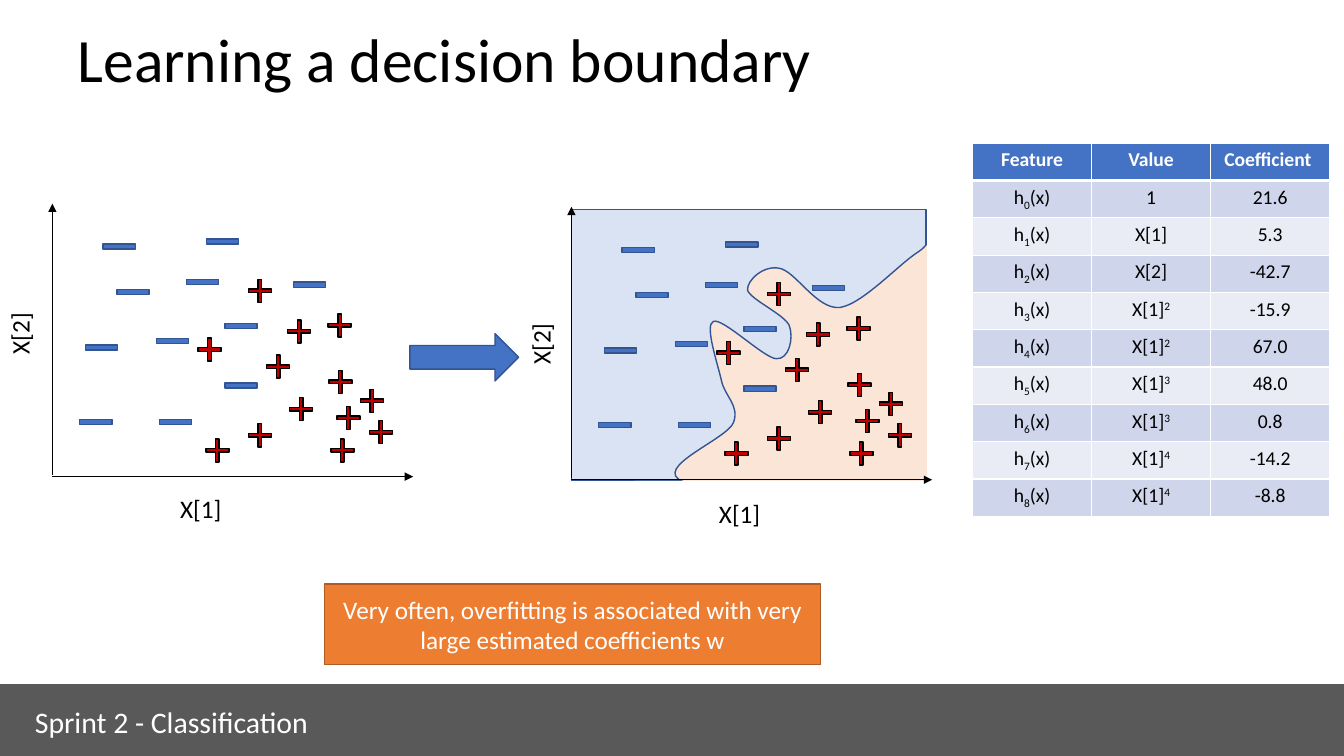
from dataclasses import dataclass

from lxml import etree
from pptx import Presentation
from pptx.dml.color import RGBColor
from pptx.enum.shapes import MSO_CONNECTOR, MSO_SHAPE
from pptx.enum.text import MSO_ANCHOR, MSO_AUTO_SIZE, PP_ALIGN
from pptx.oxml.ns import qn
from pptx.util import Cm, Pt

RECT, PLUS, ARROW = MSO_SHAPE.RECTANGLE, MSO_SHAPE.CROSS, MSO_SHAPE.RIGHT_ARROW
STRAIGHT = MSO_CONNECTOR.STRAIGHT
LEFT, CENTER = PP_ALIGN.LEFT, PP_ALIGN.CENTER
TOP, MIDDLE = MSO_ANCHOR.TOP, MSO_ANCHOR.MIDDLE
NO_FIT, GROW = MSO_AUTO_SIZE.NONE, MSO_AUTO_SIZE.SHAPE_TO_FIT_TEXT


@dataclass(frozen=True)
class Theme:
    """Colours, font and type sizes of the slide."""
    font: str = "Calibri"
    black: str = "000000"
    white: str = "FFFFFF"
    blue: str = "4472C4"
    blue_line: str = "325491"
    blue_area: str = "DAE3F3"
    red: str = "C00000"
    red_area: str = "FBE5D6"
    orange: str = "ED7D31"
    orange_line: str = "AF5C24"
    grey: str = "595959"
    bands: tuple = ("E9EBF5", "CFD5EA")
    title: float = 44
    footer: float = 21.3
    body: float = 18
    table: float = 14


T = Theme()

MINUSES = [(3.02, 3.42), (2.03, 4.66), (1.09, 1.38), (4.29, 5.93), (4.75, 3.8), (3.1, 1.38),
           (6.48, 4.84), (4.75, 2.3), (1.24, 3.26), (1.68, 5.8), (3.78, 4.91)]
PLUSES = [(7.25, 2.4), (6.26, 1.71), (5.68, 2.78), (7.23, 3.82), (5.22, 1.05), (7.3, 0.67),
          (3.95, 3.21), (8.27, 1.13), (6.21, 3.67), (5.22, 4.69), (4.15, 0.67), (7.45, 1.49),
          (8.04, 1.92)]
BOUNDARY_BOX = (2.62, 6.48, 7.14, 7.54)
BOUNDARY_START = (8.74, 5.74)
BOUNDARY_CURVES = [
    ((8.28, 5.46), (7.34, 4.42), (6.76, 4.34)),
    ((6.17, 4.29), (5.64, 5.28), (5.23, 5.33)),
    ((4.85, 5.41), (4.42, 5.03), (4.44, 4.78)),
    ((4.5, 4.55), (5.36, 4.17), (5.49, 3.89)),
    ((5.61, 3.58), (5.49, 3.02), (5.16, 3.05)),
    ((4.85, 3.07), (3.81, 4.09), (3.58, 3.99)),
    ((3.35, 3.91), (3.68, 2.95), (3.78, 2.51)),
    ((3.86, 2.11), (4.24, 1.88), (4.09, 1.45)),
    ((3.94, 1.02), (1.98, 0.3), (2.82, -0.05)),
    ((3.66, -0.41), (7.98, -1.7), (9.09, -0.69)),
    ((10.21, 0.33), (9.6, 4.95), (9.53, 6.02)),
    ((9.47, 7.09), (9.19, 6.02), BOUNDARY_START),
]
HEADERS = ["Feature", "Value", "Coefficient "]
VALUES = [("1", ""), ("X[1]", ""), ("X[2]", "")] + [("X[1]", n) for n in "223344"]
COEFFICIENTS = ["21.6", "5.3", "-42.7", "-15.9", "67.0", "48.0", "0.8", "-14.2", "-8.8"]


def rgb(color):
    """Turn a hex string into a colour."""
    return RGBColor.from_string(color)


def style_font(font, size, color, bold=False):
    """Set the typeface, size, colour and weight of a font."""
    font.name, font.size, font.bold = T.font, Pt(size), bold
    font.color.rgb = rgb(color)


def paint(sp, fill, line=None):
    """Give a shape its fill and outline and no shadow."""
    sp.shadow.inherit = False
    sp.fill.solid()
    sp.fill.fore_color.rgb = rgb(fill)
    if line:
        sp.line.color.rgb, sp.line.width = rgb(line), Pt(1)
    else:
        sp.line.fill.background()


def add_block(shapes, kind, box, fill, line=None):
    """Add a painted preset shape in a box given in centimetres."""
    sp = shapes.add_shape(kind, *map(Cm, box))
    paint(sp, fill, line)
    return sp


def add_axis_label(shapes, center, text, rotation):
    """Add an axis name centred on a point."""
    x, y = center
    sp = shapes.add_textbox(Cm(x - 0.93), Cm(y - 0.51), Cm(1.86), Cm(1.02))
    sp.rotation = rotation
    tf = sp.text_frame
    tf.text, tf.word_wrap, tf.auto_size = text, True, GROW
    style_font(tf.paragraphs[0].runs[0].font, T.body, T.black)


def add_axis(shapes, start, end):
    """Add a black axis ending in an arrowhead."""
    cx = shapes.add_connector(STRAIGHT, *map(Cm, start + end))
    cx.line.color.rgb, cx.line.width = rgb(T.black), Pt(1)
    ln = cx.line._get_or_add_ln()
    etree.SubElement(ln, qn("a:tailEnd"), type="triangle")
    etree.SubElement(cx._element.spPr, qn("a:effectLst"))


def add_boundary(shapes, x, y):
    """Draw the curved positive area of the plot with origin x, y."""
    left, top, width, height = BOUNDARY_BOX
    builder = shapes.build_freeform(Cm(x + BOUNDARY_START[0]), Cm(y - BOUNDARY_START[1]))
    builder.add_line_segments([(Cm(x + px), Cm(y - py)) for _, _, (px, py) in BOUNDARY_CURVES])
    sp = builder.convert_to_shape()
    sp.left, sp.top, sp.width, sp.height = map(Cm, (x + left, y - top, width, height))
    outline = sp._element.find(".//" + qn("a:path"))
    outline.set("w", str(Cm(width)))
    outline.set("h", str(Cm(height)))
    for child in list(outline):
        outline.remove(child)
    for tag, points in [("moveTo", (BOUNDARY_START,))] + [("cubicBezTo", c) for c in BOUNDARY_CURVES]:
        step = etree.SubElement(outline, qn("a:" + tag))
        for px, py in points:
            etree.SubElement(step, qn("a:pt"), x=str(Cm(px - left)), y=str(Cm(top - py)))
    etree.SubElement(outline, qn("a:close"))
    paint(sp, T.red_area, T.blue_line)


def add_regions(shapes, x, y):
    """Draw both class areas and trim them to the plot with origin x, y."""
    add_block(shapes, RECT, (x, y - 6.81, 8.94, 6.83), T.blue_area, T.blue_line)
    add_boundary(shapes, x, y)
    side = add_block(shapes, RECT, (x + 5.51, y - 3.61, 8.18, 1.27), T.white)
    side.rotation = 90
    add_block(shapes, RECT, (x + 1.6, y + 0.03, 8.18, 1.27), T.white)


def add_scatter(s, box, x_label, y_label, regions=False):
    """Draw a scatter plot whose axes span the box."""
    left, top, width, height = box
    x, y = left, top + height
    shapes = s.shapes.add_group_shape().shapes
    if regions:
        add_regions(shapes, x, y)
    add_axis(shapes, (x, y - 0.05), (x, top))
    add_axis(shapes, (x, y), (x + width, y))
    for px, py in MINUSES:
        add_block(shapes, RECT, (x + px - 0.4, y - py - 0.06, 0.81, 0.13), T.blue, T.blue_line)
    for px, py in PLUSES:
        sp = add_block(shapes, PLUS, (x + px - 0.28, y - py - 0.28, 0.58, 0.58), T.red, T.black)
        sp.adjustments[0] = 0.423
    for text, (px, py), rotation in (("X[1]", x_label, 0), ("X[2]", y_label, 270)):
        add_axis_label(shapes, (x + px, y - py), text, rotation)


def fill_cell(cell, parts, fill, color, header):
    """Write text and baseline pairs into a cell and set its fill and borders."""
    p = cell.text_frame.paragraphs[0]
    p.alignment = CENTER
    for text, baseline in parts:
        r = p.add_run()
        r.text = text
        style_font(r.font, T.table, color, header)
        if baseline:
            r._r.get_or_add_rPr().set("baseline", str(baseline * 1000))
    tc_pr = cell._tc.get_or_add_tcPr()
    for side in "LRTB":
        width = Pt(3 if header and side == "B" else 1)
        ln = etree.SubElement(tc_pr, qn("a:ln" + side), w=str(width))
        solid = etree.SubElement(ln, qn("a:solidFill"))
        etree.SubElement(solid, qn("a:srgbClr"), val=T.white)
    cell.fill.solid()
    cell.fill.fore_color.rgb = rgb(fill)


def add_coefficients(s, box):
    """Add the table of features, values and coefficients."""
    rows = [[[(h, 0)] for h in HEADERS]]
    for i, ((value, power), coefficient) in enumerate(zip(VALUES, COEFFICIENTS)):
        value_parts = [(value, 0)] + ([(power, 30)] if power else [])
        rows.append([[("h", 0), (str(i), -25), ("(x)", 0)], value_parts, [(coefficient, 0)]])
    table = s.shapes.add_table(len(rows), len(HEADERS), *map(Cm, box)).table
    for i, row in enumerate(rows):
        fill, color = (T.bands[i % 2], T.black) if i else (T.blue, T.white)
        for j, parts in enumerate(row):
            fill_cell(table.cell(i, j), parts, fill, color, i == 0)


def add_title(s, box, text):
    """Place and format the slide title."""
    sp = s.shapes.title
    sp.left, sp.top, sp.width, sp.height = map(Cm, box)
    tf = sp.text_frame
    tf.text, tf.word_wrap, tf.auto_size, tf.vertical_anchor = text, True, NO_FIT, MIDDLE
    p = tf.paragraphs[0]
    p.alignment, p.line_spacing = LEFT, 0.9
    style_font(p.runs[0].font, T.title, T.black)


def add_callout(s, box, text):
    """Add the orange message box."""
    tf = add_block(s.shapes, RECT, box, T.orange, T.orange_line).text_frame
    tf.text, tf.word_wrap, tf.vertical_anchor = text, True, MIDDLE
    p = tf.paragraphs[0]
    p.alignment = CENTER
    style_font(p.runs[0].font, T.body, T.white)


def add_footer(s, box, text):
    """Add the grey band with the course label."""
    left, top, _, _ = box
    add_block(s.shapes, RECT, box, T.grey, T.grey)
    sp = add_block(s.shapes, RECT, (left + 0.63, top + 0.34, 8.53, 1.17), T.grey, T.grey)
    sp.fill.background()
    sp.line.width = Pt(0.75)
    tf = sp.text_frame
    tf.text, tf.word_wrap, tf.auto_size, tf.vertical_anchor = text, True, GROW, TOP
    p = tf.paragraphs[0]
    p.alignment = LEFT
    style_font(p.runs[0].font, T.footer, T.white)


def main():
    """Build the slide and save it."""
    prs = Presentation()
    prs.slide_width, prs.slide_height = Cm(33.87), Cm(19.05)
    s = prs.slides.add_slide(prs.slide_layouts[5])
    add_title(s, (1.7, 0, 30.48, 3.14), "Learning a decision boundary")
    add_scatter(s, (1.32, 5.13, 9.09, 6.88), (3.9, -0.81), (-0.82, 3.76))
    add_scatter(s, (14.4, 5.21, 9.09, 6.88), (4.4, -0.86), (-0.77, 3.58), regions=True)
    add_block(s.shapes, ARROW, (10.33, 8.41, 2.74, 1.19), T.blue, T.blue_line)
    add_coefficients(s, (24.51, 3.61, 9, 9.4))
    add_callout(s, (8.18, 14.72, 12.5, 2.03),
                "Very often, overfitting is associated with very large estimated coefficients w")
    add_footer(s, (0, 17.26, 33.87, 1.79), "Sprint 2 - Classification")
    prs.save("out.pptx")


if __name__ == "__main__":
    main()
